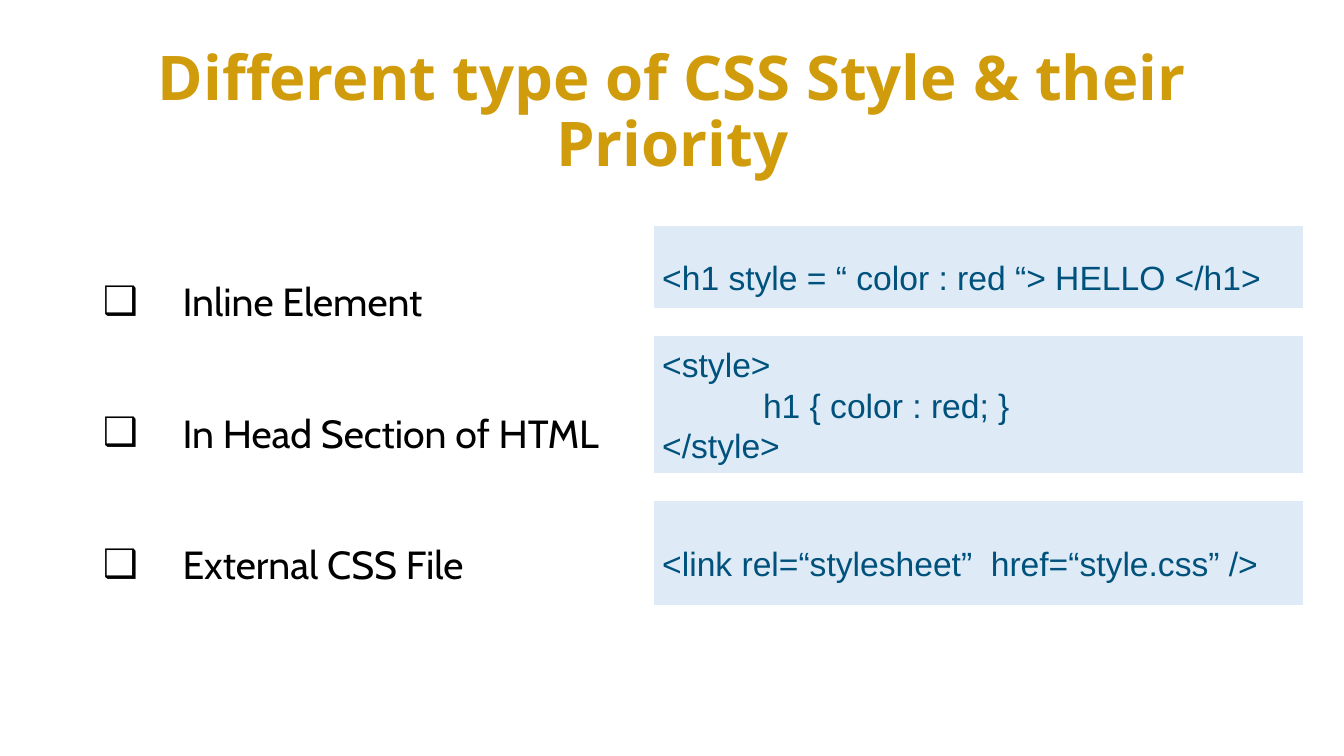
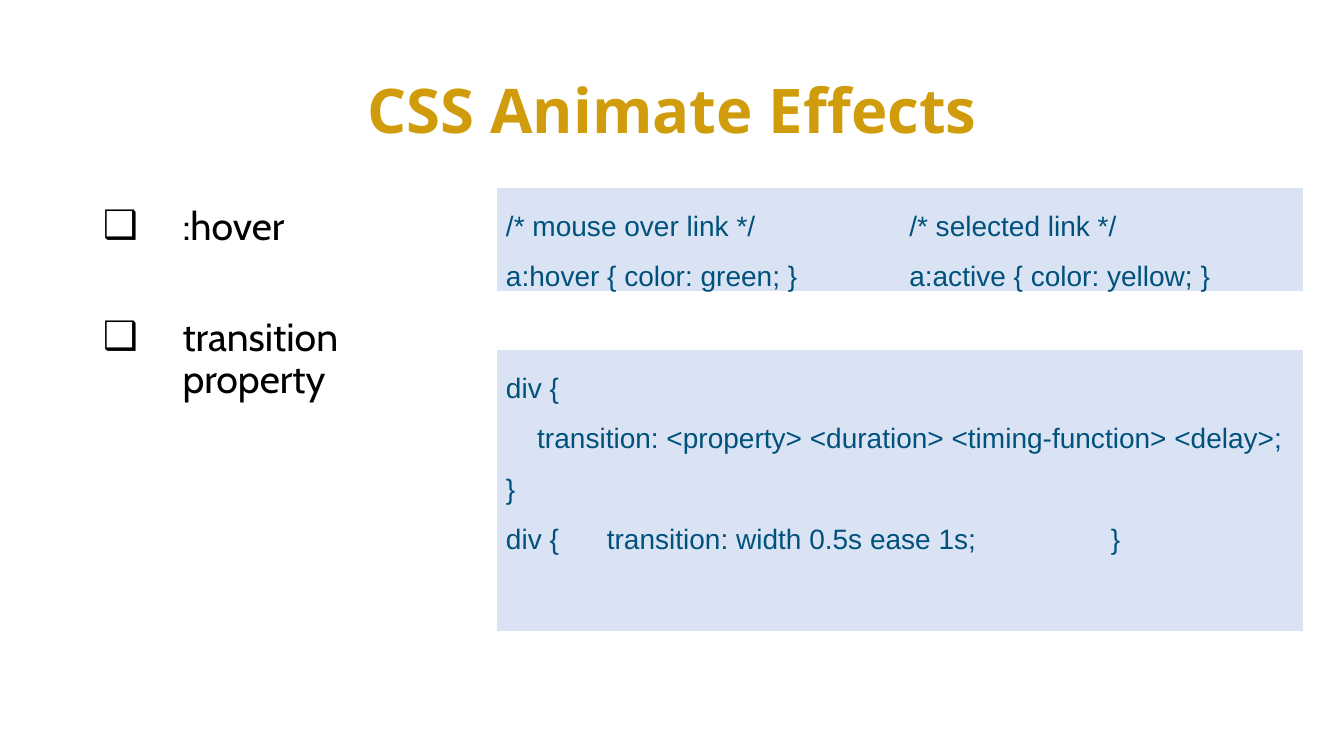
from lxml import etree
from pptx import Presentation
from pptx.dml.color import RGBColor
from pptx.enum import shapes, text
from pptx.oxml.ns import qn
from pptx.util import Inches, Pt

COLORS = {"title": "D09C0B", "body": "000000", "code": "00517C", "border": "FFFFFF",
          "sky": "DEEBF7", "periwinkle": "DAE3F3"}
ALIGN, ANCHOR = text.PP_ALIGN, text.MSO_ANCHOR


def set_font(para, name, size, color, bold=False):
    para.font.name = name
    para.font.size = Pt(size)
    para.font.bold = bold
    para.font.color.rgb = RGBColor.from_string(COLORS[color])


# Each code line is (text, left indent, tab stops), in inches
SLIDES = [
    {"title": "Different type of CSS Style & their Priority",
     "items": ["Inline Element", "In Head Section of HTML", "External CSS File"],
     "body_width": 11.5, "item_spacing": 2.5, "item_gap": 10,
     "left": 6.47, "width": 6.47, "fill": "sky", "size": 24, "anchor": ANCHOR.MIDDLE,
     "boxes": [
         (2.23, 0.84, 1.5, [("<h1 style = “ color : red “> HELLO </h1>", 0, [])]),
         (3.32, 1.39, 1.0, [("<style>", 0, []),
                            ("\th1 { color : red; }", 0, [1]),
                            ("</style>", 0, [])]),
         (4.96, 1.06, 1.5, [("<link rel=“stylesheet”  href=“style.css” />", 0, [])]),
     ]},
    {"title": "CSS Animate Effects",
     "items": [":hover", "transition property"],
     "body_width": 4.01, "item_spacing": 0.9, "item_gap": 49,
     "left": 4.92, "width": 8.02, "fill": "periwinkle", "size": 20, "anchor": ANCHOR.TOP,
     "boxes": [
         (1.85, 1.05, 1.5, [("/* mouse over link */\t/* selected link */", 0, [4]),
                            ("a:hover { color: green; }\ta:active { color: yellow; }", 0, [4])]),
         (3.46, 2.81, 1.5, [
             ("div {", 0, []),
             ("transition: <property> <duration> <timing-function> <delay>;", 0.31, []),
             ("}", 0, []),
             ("div {\ttransition: width 0.5s ease 1s;\t}", 0, [1, 6])]),
     ]},
]

deck = Presentation()
deck.slide_width, deck.slide_height = Inches(13.33), Inches(7.5)

for content in SLIDES:
    page = deck.slides.add_slide(deck.slide_layouts[1])

    # Title
    title = page.shapes.title
    title.left, title.top = Inches(0.92), Inches(0.4)
    title.width, title.height = Inches(11.5), Inches(1.45)
    title.text_frame.text = content["title"]
    title.text_frame.auto_size = text.MSO_AUTO_SIZE.NONE
    title.text_frame.vertical_anchor = ANCHOR.MIDDLE
    para = title.text_frame.paragraphs[0]
    para.alignment = ALIGN.CENTER
    para.line_spacing = 0.9
    set_font(para, "Open Sans", 44, "title", bold=True)

    # Checklist
    body = page.placeholders[1]
    body.left, body.top = Inches(0.92), Inches(2)
    body.width, body.height = Inches(content["body_width"]), Inches(4.49)
    body.text_frame.text = "\n".join(content["items"])
    body.text_frame.auto_size = text.MSO_AUTO_SIZE.NONE
    for index, para in enumerate(body.text_frame.paragraphs):
        props = para._p.get_or_add_pPr()
        props.set("marL", str(Inches(0.79)))
        props.set("indent", str(-Inches(0.79)))
        etree.SubElement(props, qn("a:buFont"), typeface="Arial")
        etree.SubElement(props, qn("a:buChar"), char="❑")
        para.line_spacing = content["item_spacing"]
        para.space_before = Pt(content["item_gap"] if index else 10)
        set_font(para, "Cabin", 28, "body")

    # Code boxes
    for top, height, spacing, lines in content["boxes"]:
        box = page.shapes.add_shape(
            shapes.MSO_SHAPE.RECTANGLE, Inches(content["left"]), Inches(top),
            Inches(content["width"]), Inches(height))
        box.shadow.inherit = False
        box.fill.solid()
        box.fill.fore_color.rgb = RGBColor.from_string(COLORS[content["fill"]])
        box.line.color.rgb = RGBColor.from_string(COLORS["border"])
        box.line.width = Pt(2)
        frame = box.text_frame
        frame.word_wrap = True
        frame.vertical_anchor = content["anchor"]
        for index, (line, indent, stops) in enumerate(lines):
            para = frame.add_paragraph() if index else frame.paragraphs[0]
            para.add_run().text = line
            props = para._p.get_or_add_pPr()
            props.set("marL", str(Inches(indent)))
            if stops:
                tabs = etree.SubElement(props, qn("a:tabLst"))
                for stop in stops:
                    etree.SubElement(tabs, qn("a:tab"), pos=str(Inches(stop)), algn="l")
            para.alignment = ALIGN.LEFT
            para.line_spacing = spacing
            set_font(para, "Arial", content["size"], "code")

deck.save("out.pptx")
